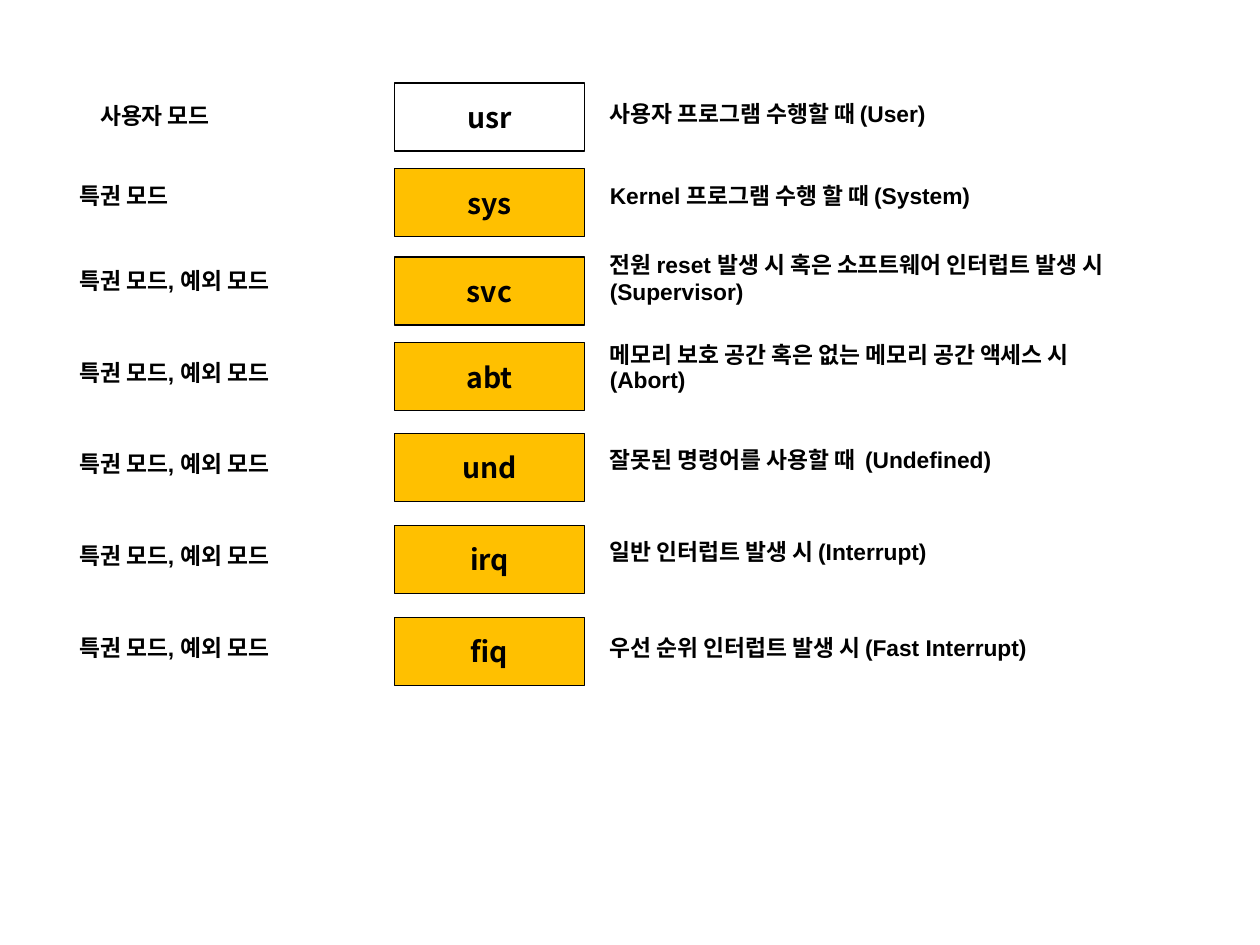
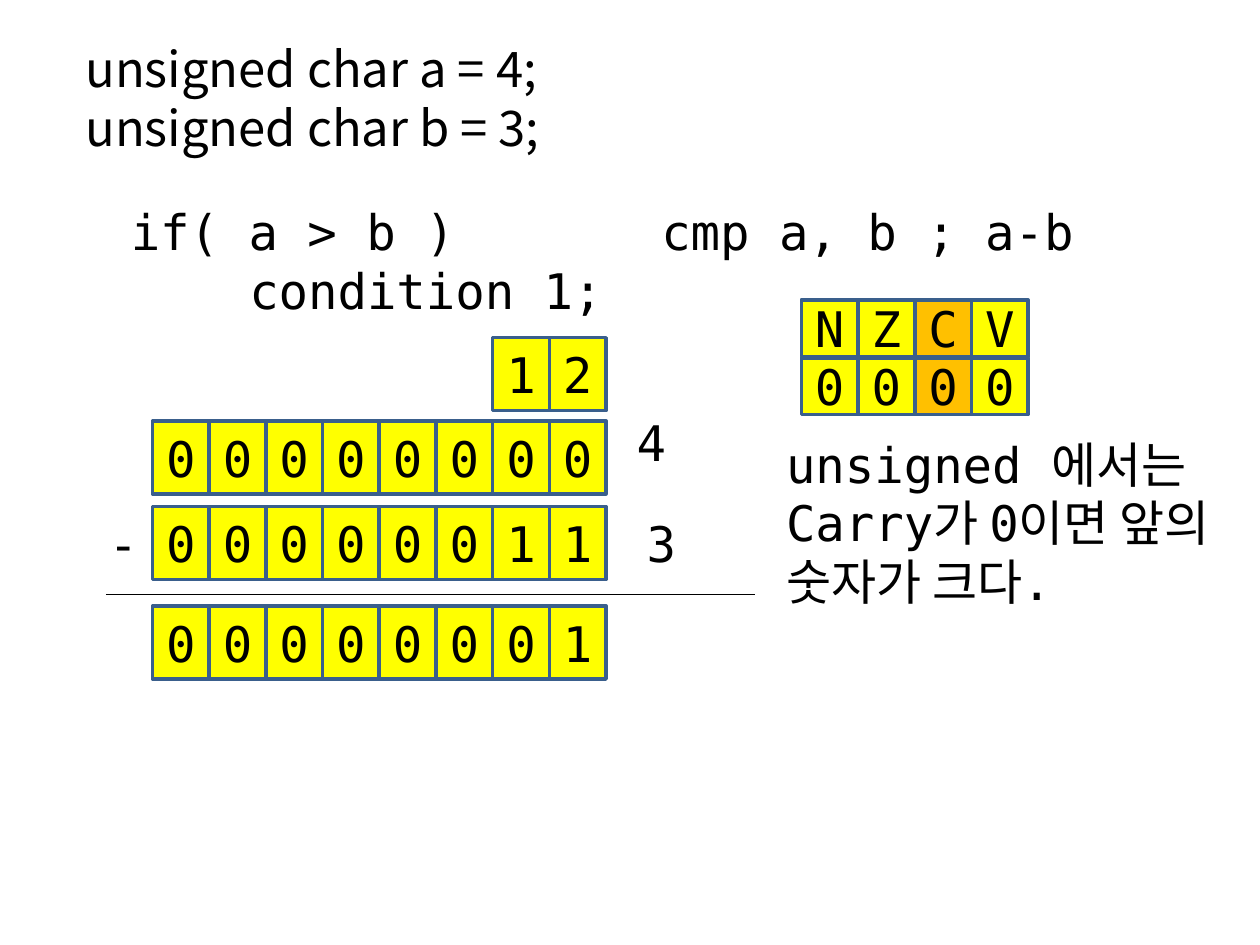
from lxml.etree import SubElement
from pptx import Presentation
from pptx.dml.color import RGBColor
from pptx.enum.shapes import MSO_CONNECTOR, MSO_SHAPE
from pptx.enum.text import MSO_ANCHOR, PP_ALIGN
from pptx.oxml.ns import qn
from pptx.util import Inches, Pt

BLACK = RGBColor(0x00, 0x00, 0x00)
AMBER = RGBColor(0xFF, 0xC0, 0x00)
YELLOW = RGBColor(0xFF, 0xFF, 0x00)
STEEL_BLUE = RGBColor(0x3A, 0x5F, 0x8C)

ARIAL = "Arial"
MONO = "DejaVu Sans Mono"
KOREAN = "Noto Sans CJK KR"

CELL_WIDTH = 0.45
BIT_HEIGHT = 0.58
BITS_LEFT = 1.21

EXCEPTION = "특권 모드, 예외 모드"
# mode, box top, label, label top, description, description top
MODES = [
    ("usr", 0.66, None, None, "사용자 프로그램 수행할 때 (User)", 0.79),
    ("sys", 1.34, "특권 모드", 1.44, "Kernel 프로그램 수행 할 때 (System)", 1.44),
    ("svc", 2.04, EXCEPTION, 2.12,
     "전원 reset 발생 시 혹은 소프트웨어 인터럽트 발생 시 (Supervisor)", 1.99),
    ("abt", 2.72, EXCEPTION, 2.85,
     "메모리 보호 공간 혹은 없는 메모리 공간 액세스 시 (Abort)", 2.73),
    ("und", 3.44, EXCEPTION, 3.57, "잘못된 명령어를 사용할 때  (Undefined)", 3.54),
    ("irq", 4.17, EXCEPTION, 4.30, "일반 인터럽트 발생 시 (Interrupt)", 4.27),
    ("fiq", 4.90, EXCEPTION, 5.03, "우선 순위 인터럽트 발생 시 (Fast Interrupt)", 5.03),
]


def write(frame, lines, size, font, bold=False, align=PP_ALIGN.LEFT,
          anchor=MSO_ANCHOR.MIDDLE, inset=None):
    """Fill a text frame with one paragraph per line."""
    frame.word_wrap = True
    frame.vertical_anchor = anchor
    if inset is not None:
        frame.margin_left = frame.margin_right = Inches(inset)
        frame.margin_top = frame.margin_bottom = Inches(inset)
    for index, line in enumerate(lines):
        paragraph = frame.add_paragraph() if index else frame.paragraphs[0]
        paragraph.alignment = align
        run = paragraph.add_run()
        run.text = line
        run.font.size = Pt(size)
        run.font.bold = bold
        run.font.name = font
        run.font.color.rgb = BLACK
        east_asian = SubElement(run.font._element, qn("a:ea"))
        east_asian.set("typeface", KOREAN)


def add_text(slide, place, lines, size, font, **style):
    box = slide.shapes.add_textbox(*map(Inches, place))
    write(box.text_frame, lines, size, font, **style)
    return box.text_frame


def add_box(shapes, place, label, size, font, fill, line, line_width, **style):
    box = shapes.add_shape(MSO_SHAPE.RECTANGLE, *map(Inches, place))
    box.shadow.inherit = False
    if fill is None:
        box.fill.background()
    else:
        box.fill.solid()
        box.fill.fore_color.rgb = fill
    box.line.color.rgb = line
    box.line.width = Pt(line_width)
    write(box.text_frame, [label], size, font, align=PP_ALIGN.CENTER, **style)


def add_cells(shapes, left, top, height, labels, amber_index=None):
    """Draw a row of adjoining cells, one for each character."""
    for index, label in enumerate(labels):
        fill = AMBER if index == amber_index else YELLOW
        place = (left + index * CELL_WIDTH, top, CELL_WIDTH, height)
        add_box(shapes, place, label, 28, MONO, fill, STEEL_BLUE, 2)


def add_rule(slide, left, right, y):
    rule = slide.shapes.add_connector(
        MSO_CONNECTOR.STRAIGHT, Inches(left), Inches(y), Inches(right), Inches(y))
    rule.line.color.rgb = BLACK
    rule.line.width = Pt(0.75)
    SubElement(rule._element.spPr, qn("a:effectLst"))


def add_mode_note(slide, place, note):
    frame = add_text(slide, place, [note], 13, ARIAL, bold=True,
                     anchor=MSO_ANCHOR.TOP, inset=0)
    return frame.paragraphs[0]


def build_modes(slide):
    add_text(slide, (0.6, 0.71, 1.26, 0.41), ["사용자 모드"], 13, ARIAL, bold=True,
             align=PP_ALIGN.CENTER, inset=0.02)
    for mode, top, label, label_top, description, description_top in MODES:
        fill = None if mode == "usr" else AMBER
        add_box(slide.shapes, (3.13, top, 1.51, 0.54), mode, 16.2, KOREAN,
                fill, BLACK, 0.75, bold=True, inset=0)
        if label:
            add_mode_note(slide, (0.63, label_top, 2.23, 0.28), label)
        height = 0.5 if mode in ("svc", "abt") else 0.28
        paragraph = add_mode_note(
            slide, (4.84, description_top, 4.2, height), description)
        if mode == "abt":
            paragraph.line_spacing = 0.9


def build_comparison(slide):
    add_text(slide, (0.58, 0.26, 3.96, 1.04),
             ["unsigned char a = 4;", "unsigned char b = 3;"], 28, KOREAN,
             anchor=MSO_ANCHOR.TOP)

    code = add_text(slide, (0.94, 1.71, 8.44, 0.71),
                    ["if( a > b )\tcmp a, b ; a-b", "condition 1;"], 28, MONO)
    comparison, branch = (p._p.get_or_add_pPr() for p in code.paragraphs)
    tab_stops = SubElement(comparison, qn("a:tabLst"))
    SubElement(tab_stops, qn("a:tab"), pos=str(Inches(4.21)), algn="l")
    branch.set("marL", str(Inches(0.94)))

    add_cells(slide.shapes, BITS_LEFT + 6 * CELL_WIDTH, 2.68, BIT_HEIGHT, "12")
    for top, bits in ((3.34, "00000000"), (4.02, "00000011"), (4.81, "00000001")):
        add_cells(slide.shapes, BITS_LEFT, top, BIT_HEIGHT, bits)
    for left, top, sign in ((4.62, 3.15, "4"), (4.7, 3.95, "3"), (0.43, 3.95, "-")):
        add_text(slide, (left, top, 1.1, 0.71), [sign], 28, MONO,
                 align=PP_ALIGN.CENTER)
    add_rule(slide, 0.84, 5.99, 4.72)

    flags = slide.shapes.add_group_shape().shapes
    for top, labels in ((2.84, "0000"), (2.38, "NZCV")):
        add_cells(flags, 6.36, top, CELL_WIDTH, labels, amber_index=2)
    add_text(slide, (6.14, 3.79, 4.18, 0.71),
             ["unsigned 에서는 Carry가 0이면 앞의 숫자가 크다."], 28, MONO)


def main():
    deck = Presentation()
    deck.slide_width, deck.slide_height = Inches(10), Inches(7.5)
    blank = deck.slide_layouts[6]
    for build in (build_modes, build_comparison):
        build(deck.slides.add_slide(blank))
    deck.save("out.pptx")


if __name__ == "__main__":
    main()
